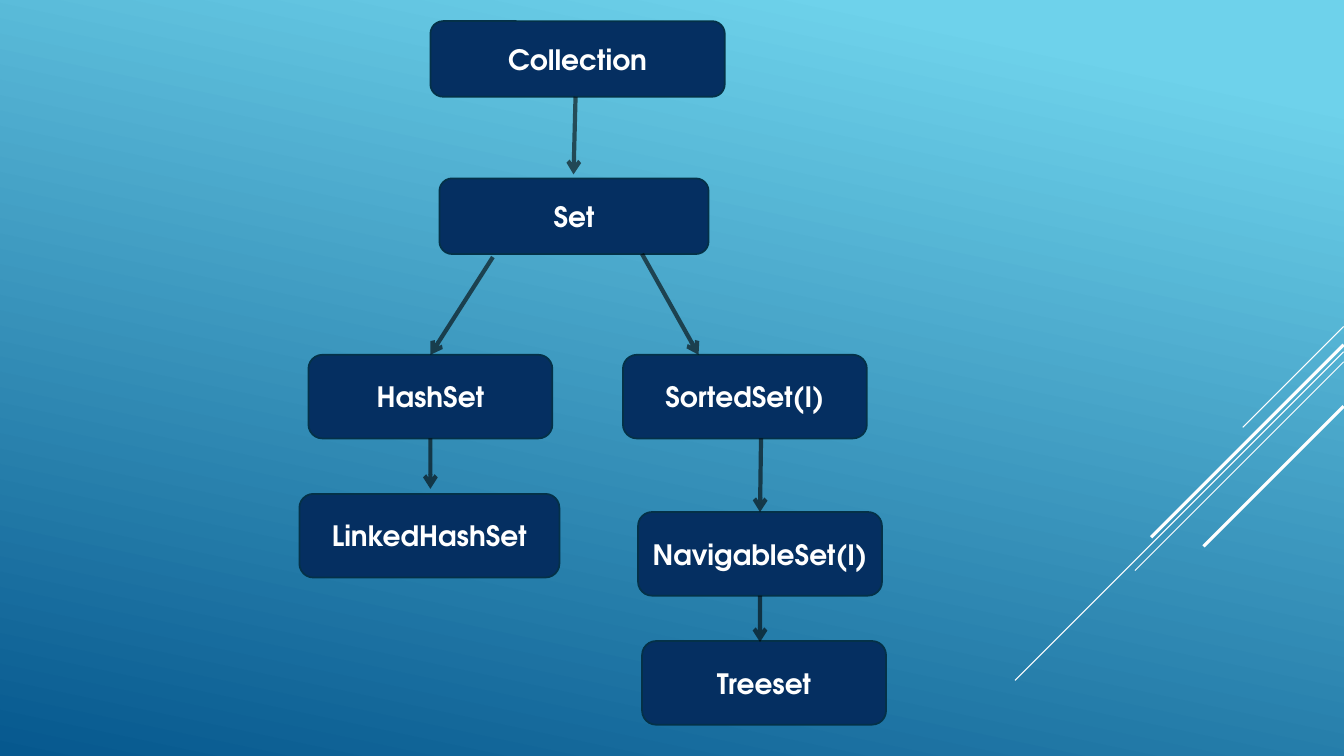
from dataclasses import dataclass

from lxml.etree import SubElement
from pptx import Presentation
from pptx.dml.color import RGBColor
from pptx.enum.shapes import MSO_CONNECTOR, MSO_SHAPE
from pptx.enum.text import MSO_ANCHOR, PP_ALIGN
from pptx.oxml.ns import qn
from pptx.util import Inches, Pt


@dataclass(frozen=True)
class Theme:
    sky: str = "6ED2EB"
    sea: str = "06588E"
    box: str = "052F61"
    outline: str = "043148"
    arrow: str = "000000"
    light: str = "FFFFFF"
    font: str = "TeX Gyre Adventor"
    text_size: float = 20
    outline_width: float = 1.25
    arrow_width: float = 3
    arrow_opacity: int = 60


THEME = Theme()
SLIDE_HEIGHT = 7.5
SLIDE_WIDTH = SLIDE_HEIGHT * 16 / 9
RIGHT_EDGE = 13.33
TOP, BOTTOM = 0, 2  # connection sites of a box

# Decorative diagonals: start height at the right edge, length across, width
DIAGONALS = [
    (3.24, 1.0, 0.75),
    (3.49, 3.26, 0.75),
    (3.59, 2.07, 0.75),
    (3.42, 1.91, 2.25),
    (4.03, 1.39, 2.25),
]

# Boxes: label, left, top, width, height
BOXES = [
    ("Collection", 4.27, 0.21, 2.92, 0.75),
    ("Set", 4.36, 1.77, 2.67, 0.75),
    ("HashSet", 3.06, 3.52, 2.42, 0.83),
    ("LinkedHashSet", 2.97, 4.9, 2.58, 0.83),
    ("SortedSet(I)", 6.18, 3.52, 2.42, 0.83),
    ("NavigableSet(I)", 6.33, 5.08, 2.42, 0.83),
    ("Treeset", 6.37, 6.36, 2.42, 0.83),
]

# Arrows: start, end, joined start (label, site), joined end (label, site)
ARROWS = [
    ((5.71, 0.96), (5.69, 1.73), None, None),
    ((4.89, 2.55), (4.27, 3.52), None, ("HashSet", TOP)),
    ((4.27, 4.35), (4.27, 4.85), ("HashSet", BOTTOM), None),
    ((6.37, 2.52), (6.93, 3.52), None, None),
    ((7.55, 4.35), (7.54, 5.08), None, ("NavigableSet(I)", TOP)),
    ((7.54, 5.91), (7.54, 6.37), ("NavigableSet(I)", BOTTOM), None),
]


def apply_format(target, values):
    for name, value in values.items():
        setattr(target, name, value)


def paint_background(slide):
    fill = slide.background.fill
    fill.gradient()
    fill.gradient_angle = 360 - 102
    stops = [(0.1, THEME.sky), (1, THEME.sea)]
    for stop, (position, color) in zip(fill.gradient_stops, stops):
        stop.position = position
        stop.color.rgb = RGBColor.from_string(color)


def add_line(slide, start, end, color, width):
    points = [Inches(value) for value in (*start, *end)]
    line = slide.shapes.add_connector(MSO_CONNECTOR.STRAIGHT, *points)
    line.line.color.rgb = RGBColor.from_string(color)
    line.line.width = Pt(width)
    SubElement(line._element.spPr, qn("a:effectLst"))
    return line


def add_box(slide, label, *frame):
    box = slide.shapes.add_shape(
        MSO_SHAPE.ROUNDED_RECTANGLE, *[Inches(value) for value in frame])
    box.shadow.inherit = False
    box.fill.solid()
    box.fill.fore_color.rgb = RGBColor.from_string(THEME.box)
    box.line.color.rgb = RGBColor.from_string(THEME.outline)
    box.line.width = Pt(THEME.outline_width)

    text_frame = box.text_frame
    apply_format(text_frame, {"word_wrap": True,
                              "vertical_anchor": MSO_ANCHOR.MIDDLE})
    paragraph = text_frame.paragraphs[0]
    paragraph.alignment = PP_ALIGN.CENTER
    run = paragraph.add_run()
    run.text = label
    apply_format(run.font, {"name": THEME.font, "bold": True,
                            "size": Pt(THEME.text_size)})
    run.font.color.rgb = RGBColor.from_string(THEME.light)
    return box


def add_arrow(slide, boxes, start, end, joined_start, joined_end):
    arrow = add_line(slide, start, end, THEME.arrow, THEME.arrow_width)
    if joined_start:
        label, site = joined_start
        arrow.begin_connect(boxes[label], site)
    if joined_end:
        label, site = joined_end
        arrow.end_connect(boxes[label], site)

    # Transparency and arrowhead
    outline = arrow.line._get_or_add_ln()
    color = outline.find(f".//{qn('a:srgbClr')}")
    SubElement(color, qn("a:alpha"), val=str(THEME.arrow_opacity * 1000))
    SubElement(outline, qn("a:tailEnd"), type="arrow")


def main():
    presentation = Presentation()
    presentation.slide_width = Inches(SLIDE_WIDTH)
    presentation.slide_height = Inches(SLIDE_HEIGHT)
    slide = presentation.slides.add_slide(presentation.slide_layouts[6])

    # Backdrop
    paint_background(slide)
    for top, length, width in DIAGONALS:
        add_line(slide, (RIGHT_EDGE, top), (RIGHT_EDGE - length, top + length),
                 THEME.light, width)

    # Collection hierarchy
    boxes = {label: add_box(slide, label, *frame) for label, *frame in BOXES}
    for arrow in ARROWS:
        add_arrow(slide, boxes, *arrow)

    presentation.save("out.pptx")


if __name__ == "__main__":
    main()
